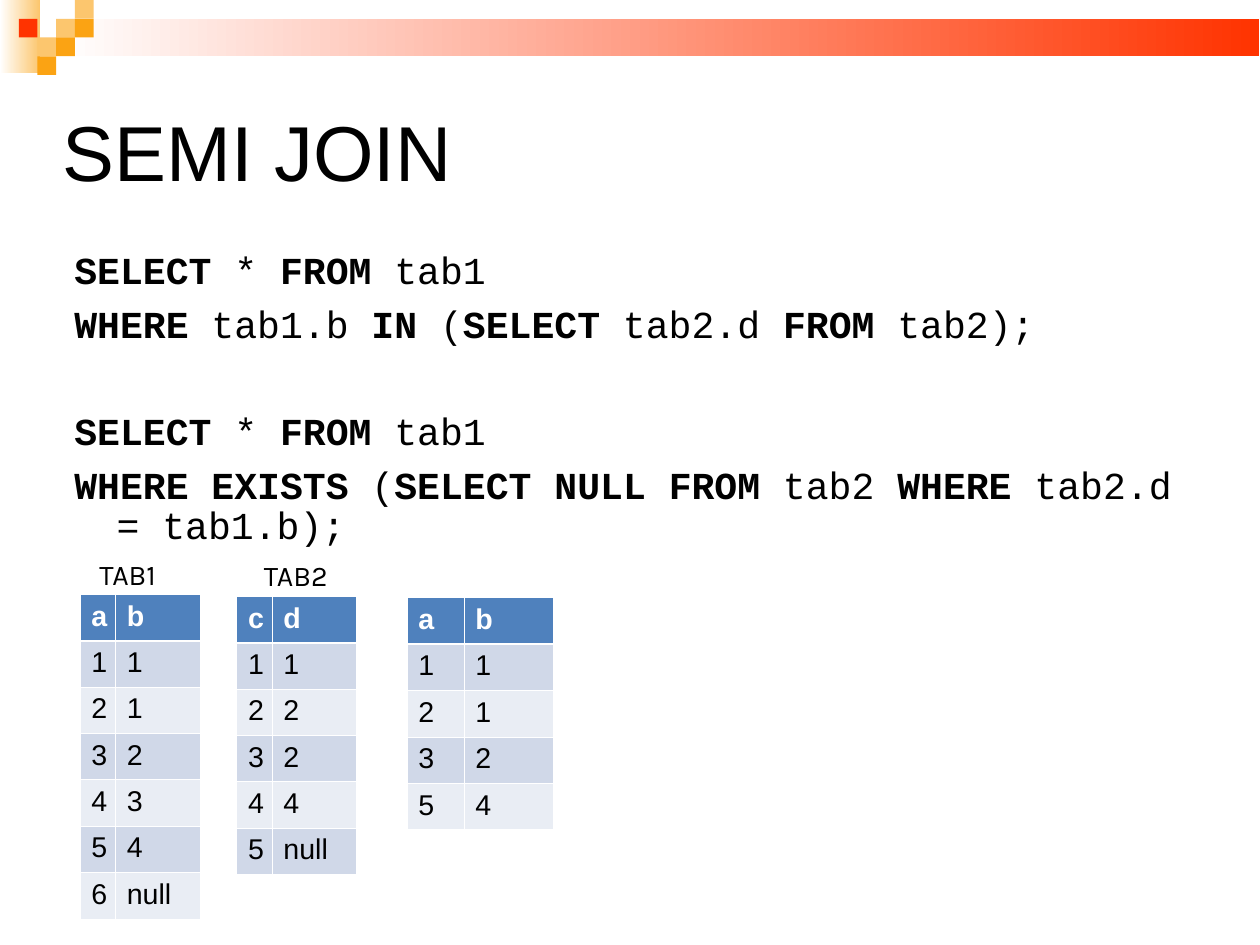
"""Build the SEMI JOIN slide: two equivalent queries, their inputs and the result."""
from lxml import etree
from pptx import Presentation
from pptx.dml.color import RGBColor
from pptx.enum.shapes import MSO_SHAPE as Shape
from pptx.enum.text import MSO_ANCHOR as Anchor, MSO_AUTO_SIZE as AutoSize, PP_ALIGN as Align
from pptx.oxml.ns import qn
from pptx.util import Emu, Inches, Pt

SLIDE_WIDTH, SLIDE_HEIGHT = Emu(10080625), Emu(7559675)
TITLE = "SEMI JOIN"
BOLD, PLAIN = True, False
LINE_GAP, QUERY_GAP = 8.8, 42.8
FIRST_LINE = [("SELECT ", BOLD), ("* ", PLAIN), ("FROM ", BOLD), ("tab1", PLAIN)]
QUERY_LINES = [
    (0, FIRST_LINE),
    (LINE_GAP, [("WHERE", BOLD), (" tab1.b ", PLAIN), ("IN ", BOLD), ("(", PLAIN),
                ("SELECT ", BOLD), ("tab2.d ", PLAIN), ("FROM", BOLD), (" tab2);", PLAIN)]),
    (QUERY_GAP, FIRST_LINE),
    (LINE_GAP, [("WHERE EXISTS ", BOLD), ("(", PLAIN), ("SELECT NULL FROM", BOLD),
                (" tab2 ", PLAIN), ("WHERE", BOLD), (" tab2.d = tab1.b);", PLAIN)]),
]
TABLES = [
    (0.7, 5.2, 2.84, (0.31, 0.74), ["a b", "1 1", "2 1", "3 2", "4 3", "5 4", "6 null"]),
    (2.07, 5.22, 2.43, (0.31, 0.74), ["c d", "1 1", "2 2", "3 2", "4 4", "5 null"]),
    (3.56, 5.23, 2.03, (0.5, 0.78), ["a b", "1 1", "2 1", "3 2", "5 4"]),
]
LABELS = [("TAB1", 0.77, 4.82), ("TAB2", 2.21, 4.83)]

UNIT = 0.164
RED, ORANGE, PALE, WHITE, BLACK = "FF3300", "FBA313", "FCC66E", "FFFFFF", "000000"
HEADER, BANDS = "4F81BD", ("E9EDF4", "D0D8E8")
BARS = [((0, 0, 0.35, 0.64), PALE), ((0.5, UNIT, 10.52, 2 * UNIT), RED)]
SQUARES = [(3, 1, PALE), (4, 0, PALE), (4, 1, ORANGE), (2, 2, PALE),
           (1, 1, RED), (3, 2, ORANGE), (2, 3, ORANGE)]


def color(code):
    return RGBColor.from_string(code)


def place(shape, *bounds):
    shape.left, shape.top, shape.width, shape.height = map(Inches, bounds)


def write(para, text, size, name, code=BLACK, bold=False):
    span = para.add_run()
    span.text = text
    span.font.size, span.font.name, span.font.bold = Pt(size), name, bold
    span.font.color.rgb = color(code)


def add_block(slide, bounds, code, fade=False):
    block = slide.shapes.add_shape(Shape.RECTANGLE, *map(Inches, bounds))
    block.shadow.inherit = False
    block.line.fill.background()
    if fade:
        block.fill.gradient()
        block.fill.gradient_angle = 180
        for stop, tone in zip(block.fill.gradient_stops, (code, WHITE)):
            stop.color.rgb = color(tone)
    else:
        block.fill.solid()
        block.fill.fore_color.rgb = color(code)


def add_borders(cell, row):
    props = cell._tc.get_or_add_tcPr()
    thick_side = {0: "lnB", 1: "lnT"}.get(row)
    for side in ("lnL", "lnR", "lnT", "lnB"):
        line = etree.SubElement(props, qn("a:" + side), w=str(Pt(1.47 if side == thick_side else 0.45)))
        fill = etree.SubElement(line, qn("a:solidFill"))
        etree.SubElement(fill, qn("a:srgbClr"), val=WHITE)


def add_data_table(slide, left, top, height, widths, lines):
    frame = slide.shapes.add_table(len(lines), len(widths),
                                   *map(Inches, (left, top, sum(widths), height)))
    table = frame.table
    for column, width in zip(table.columns, widths):
        column.width = Inches(width)
    for row, line in enumerate(lines):
        table.rows[row].height = Inches(height / len(lines))
        for col, value in enumerate(line.split()):
            cell = table.cell(row, col)
            add_borders(cell, row)
            cell.fill.solid()
            cell.fill.fore_color.rgb = color(BANDS[row % 2] if row else HEADER)
            write(cell.text_frame.paragraphs[0], value, 18, "Arial",
                  BLACK if row else WHITE, row == 0)


def fill_title(title):
    place(title, 0.55, 0.55, 9.92, 1.65)
    frame = title.text_frame
    frame.margin_left = frame.margin_top = frame.margin_right = frame.margin_bottom = 0
    frame.vertical_anchor, frame.auto_size = Anchor.MIDDLE, AutoSize.NONE
    para = frame.paragraphs[0]
    para.alignment, para.line_spacing = Align.LEFT, 0.87
    write(para, TITLE, 49, "Arial")


def fill_queries(body):
    place(body, 0.55, 2.16, 10.08, 5.11)
    frame = body.text_frame
    frame.auto_size = AutoSize.NONE
    for index, (gap, spans) in enumerate(QUERY_LINES):
        para = frame.add_paragraph() if index else frame.paragraphs[0]
        props = para._p.get_or_add_pPr()
        props.set("marL", str(Inches(0.37)))
        props.set("indent", str(Inches(-0.37)))
        etree.SubElement(props, qn("a:buNone"))
        para.line_spacing, para.space_before = 0.87, Pt(gap)
        for text, bold in spans:
            write(para, text, 24, "Courier New", bold=bold)


def main():
    deck = Presentation()
    deck.slide_width, deck.slide_height = SLIDE_WIDTH, SLIDE_HEIGHT
    slide = deck.slides.add_slide(deck.slide_layouts[1])
    for bounds, code in BARS:
        add_block(slide, bounds, code, fade=True)
    for col, row, code in SQUARES:
        add_block(slide, (col * UNIT, row * UNIT, UNIT, UNIT), code)
    fill_title(slide.shapes.title)
    fill_queries(slide.placeholders[1])
    for table in TABLES:
        add_data_table(slide, *table)
    for text, left, top in LABELS:
        box = slide.shapes.add_textbox(*map(Inches, (left, top, 0.85, 0.4)))
        box.text_frame.word_wrap = False
        box.text_frame.auto_size = AutoSize.SHAPE_TO_FIT_TEXT
        write(box.text_frame.paragraphs[0], text, 18, "Karla")
    deck.save("out.pptx")


if __name__ == "__main__":
    main()
